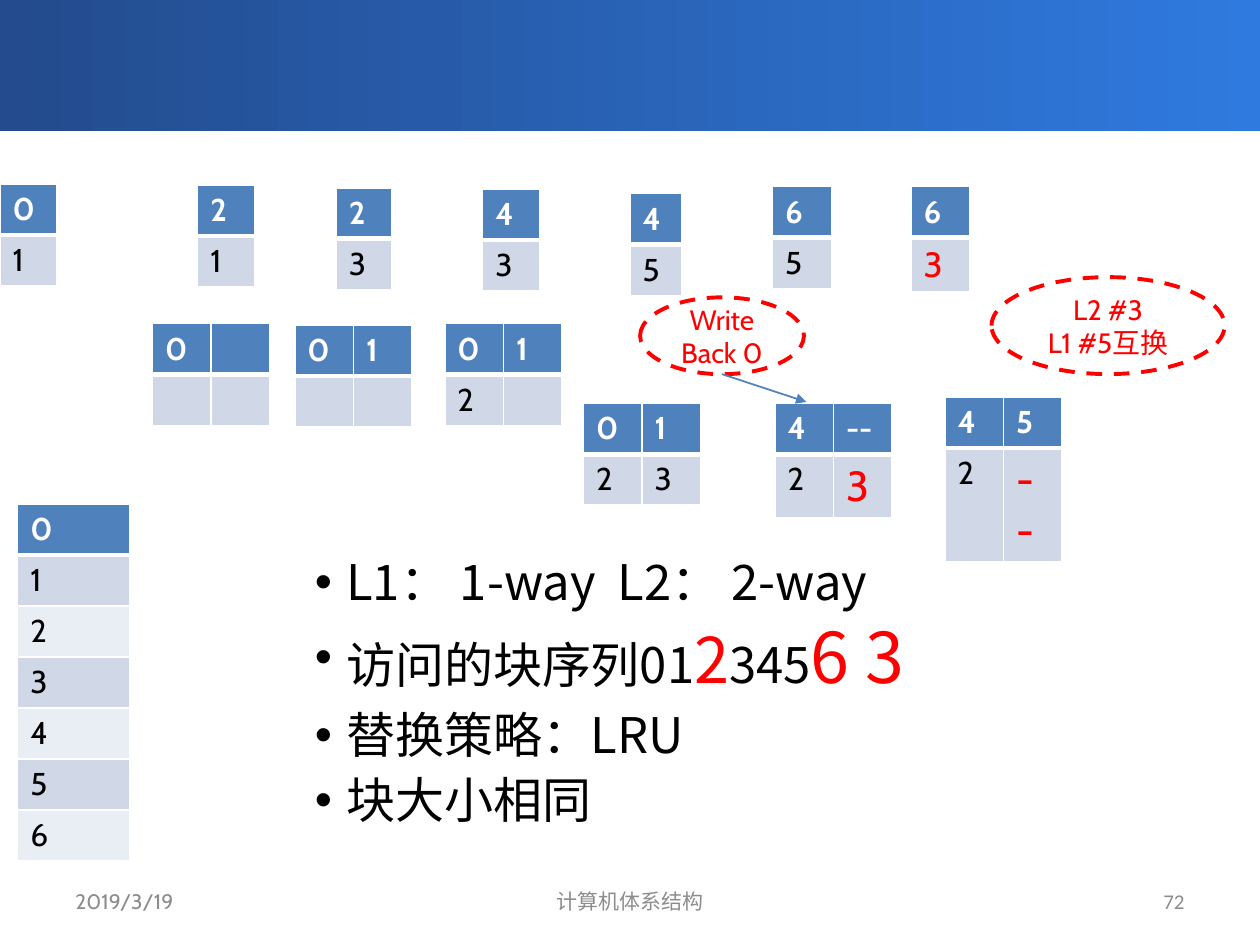
from lxml import etree
from pptx import Presentation
from pptx import util as u
from pptx.dml.color import RGBColor
from pptx.enum import dml, shapes, text
from pptx.oxml.ns import qn

Pt = u.Pt
LATIN, CJK = "Cabin", "Noto Sans CJK SC"
RED, BLUE, WHITE, BLACK, GREY = "FF0000", "4F81BD", "FFFFFF", "000000", "8C8C8C"
BANDS = ("E9EDF4", "D0D8E8")
ROW = 29.16
PAIR = [33.5, 33.5]

L1_STATES = [
    (0, 105.1, 32.4, "0", "1"),
    (113, 105.8, 32.4, "2", "1"),
    (192.2, 107.3, 31.7, "2", "3"),
    (275.8, 108, 32.4, "4", "3"),
    (360, 110.5, 29.5, "4", "5"),
    (441.4, 106.6, 33.8, "6", "5"),
    (520.6, 106.6, 33.8, "6", ("3", 20, RED)),
]
L2_STATES = [
    (87.1, 185, ["0", ""], ["", ""]),
    (168.5, 185.8, ["0", "1"], ["", ""]),
    (254.2, 185, ["0", "1"], ["2", ""]),
    (333.4, 230.4, ["0", "1"], ["2", "3"]),
    (442.8, 230.4, ["4", "--"], ["2", ("3", 24, RED)]),
    (540, 226.8, ["4", "5"], ["2", ("--", 24, RED)]),
]
NOTES = [
    [("L1： 1-way  L2： 2-way", 28, BLACK)],
    [("访问的块序列01", 28, BLACK), ("2", 36, RED), ("345", 28, BLACK), ("6 3", 40, RED)],
    [("替换策略：LRU", 28, BLACK)],
    [("块大小相同", 28, BLACK)],
]


def color(value):
    return RGBColor.from_string(value)


def apply(target, formats):
    for name, value in formats.items():
        setattr(target, name, value)


def add_span(para, words, size, ink, latin=LATIN, bold=False):
    span = para.add_run()
    span.text = words
    apply(span.font, {"size": Pt(size), "name": latin, "bold": bold})
    span.font.color.rgb = color(ink)
    east = etree.SubElement(span.font._element, qn("a:ea"))
    east.set("typeface", CJK)


def set_borders(cell, bottom):
    props = cell._tc.get_or_add_tcPr()
    for index, (side, width) in enumerate(zip("LRTB", (1, 1, 1, bottom))):
        line = etree.Element(qn("a:ln" + side), w=str(Pt(width)))
        fill = etree.SubElement(line, qn("a:solidFill"))
        etree.SubElement(fill, qn("a:srgbClr"), val=WHITE)
        props.insert(index, line)


def add_blocks(page, left, top, widths, rows):
    frame = page.shapes.add_table(
        len(rows), len(widths), Pt(left), Pt(top), Pt(sum(widths)), Pt(ROW * len(rows)))
    table = frame.table
    for column, width in zip(table.columns, widths):
        column.width = Pt(width)
    for r, values in enumerate(rows):
        table.rows[r].height = Pt(ROW)
        for c, value in enumerate(values):
            cell = table.cell(r, c)
            cell.fill.solid()
            cell.fill.fore_color.rgb = color(BANDS[r % 2] if r else BLUE)
            set_borders(cell, 1 if r else 3)
            words, size, ink = value if isinstance(value, tuple) else (
                value, 18, BLACK if r else WHITE)
            if words:
                add_span(cell.text_frame.paragraphs[0], words, size, ink, bold=not r)


def add_band(page, left, top, width, height):
    band = page.shapes.add_shape(
        shapes.MSO_SHAPE.RECTANGLE, Pt(left), Pt(top), Pt(width), Pt(height))
    band.shadow.inherit = False
    band.line.fill.background()
    band.fill.gradient()
    band.fill.gradient_angle = 0
    for stop, value, place in zip(band.fill.gradient_stops, ("234B8D", "2F7ADF"), (0, 1)):
        stop.color.rgb = color(value)
        stop.position = place


def add_callout(page, left, top, width, height, lines):
    oval = page.shapes.add_shape(
        shapes.MSO_SHAPE.OVAL, Pt(left), Pt(top), Pt(width), Pt(height))
    oval.shadow.inherit = False
    oval.fill.background()
    oval.line.color.rgb = color(RED)
    apply(oval.line, {"width": Pt(2.25), "dash_style": dml.MSO_LINE.DASH})
    box = oval.text_frame
    apply(box, {"word_wrap": True, "vertical_anchor": text.MSO_ANCHOR.MIDDLE})
    for index, words in enumerate(lines):
        para = box.add_paragraph() if index else box.paragraphs[0]
        para.alignment = text.PP_ALIGN.CENTER
        add_span(para, words, 16, RED)


def add_arrow(page, x1, y1, x2, y2):
    arrow = page.shapes.add_connector(
        shapes.MSO_CONNECTOR.STRAIGHT, Pt(x1), Pt(y1), Pt(x2), Pt(y2))
    arrow.line.color.rgb = color(BLUE)
    arrow.line.width = Pt(1)
    etree.SubElement(arrow.line._get_or_add_ln(), qn("a:tailEnd"), type="triangle")
    etree.SubElement(arrow._element.spPr, qn("a:effectLst"))


def add_notes(page, left, top, width, height):
    box = page.shapes.add_textbox(Pt(left), Pt(top), Pt(width), Pt(height)).text_frame
    box.word_wrap = True
    for index, spans in enumerate(NOTES):
        para = box.add_paragraph() if index else box.paragraphs[0]
        apply(para, {"line_spacing": 0.9, "space_before": Pt(7 if index else 0)})
        props = para._p.get_or_add_pPr()
        props.set("marL", str(Pt(18)))
        props.set("indent", str(Pt(-18)))
        etree.SubElement(props, qn("a:buFont"), typeface="Arial")
        etree.SubElement(props, qn("a:buChar"), char="•")
        for words, size, ink in spans:
            add_span(para, words, size, ink, latin=CJK)


def add_footer(page, top, height):
    align = text.PP_ALIGN
    for left, width, words, side, latin in (
        (36, 168, "2019/3/19", align.LEFT, LATIN),
        (246, 228, "计算机体系结构", align.CENTER, LATIN),
        (516, 168, "72", align.RIGHT, "Calibri"),
    ):
        box = page.shapes.add_textbox(Pt(left), Pt(top), Pt(width), Pt(height)).text_frame
        apply(box, {"word_wrap": True, "vertical_anchor": text.MSO_ANCHOR.MIDDLE})
        para = box.paragraphs[0]
        para.alignment = side
        add_span(para, words, 12, GREY, latin=latin)


def main():
    deck = Presentation()
    apply(deck, {"slide_width": Pt(720), "slide_height": Pt(540)})
    page = deck.slides.add_slide(deck.slide_layouts[6])
    add_band(page, 0, -2.2, 720, 77)
    add_footer(page, 500.5, 28.8)
    add_blocks(page, 10.1, 288, [64], [[str(block)] for block in range(7)])
    add_notes(page, 172.8, 315.4, 497.5, 185)
    for left, top, width, first, second in L1_STATES:
        add_blocks(page, left, top, [width], [[first], [second]])
    for left, top, first, second in L2_STATES:
        add_blocks(page, left, top, PAIR, [first, second])
    add_callout(page, 365.8, 169.9, 93.6, 43.9, ["Write", "Back 0"])
    add_arrow(page, 412.6, 213.8, 460.8, 229.7)
    add_callout(page, 566.6, 158.4, 133.2, 55.4, ["L2 #3", "L1 #5互换"])
    deck.save("out.pptx")


if __name__ == "__main__":
    main()
